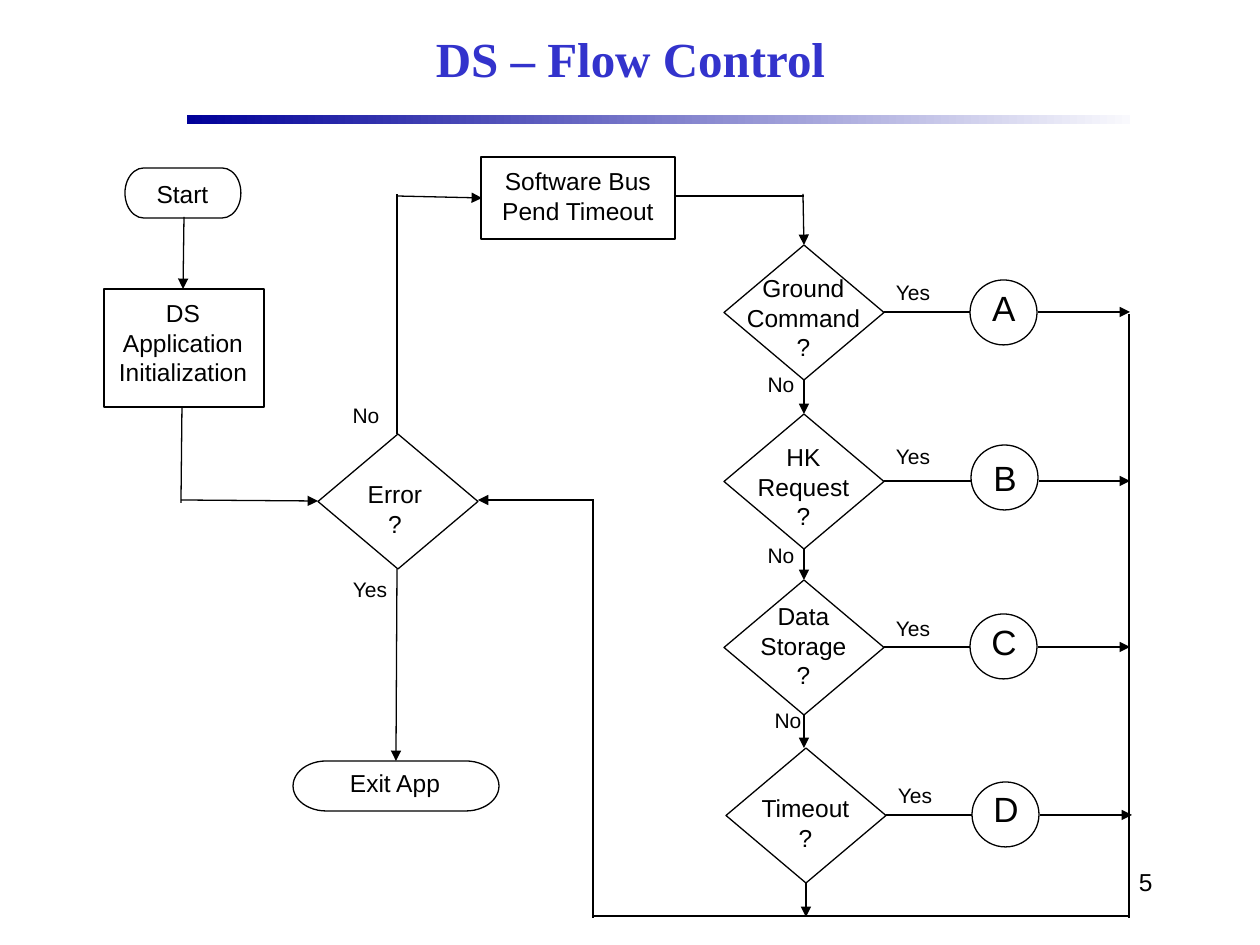
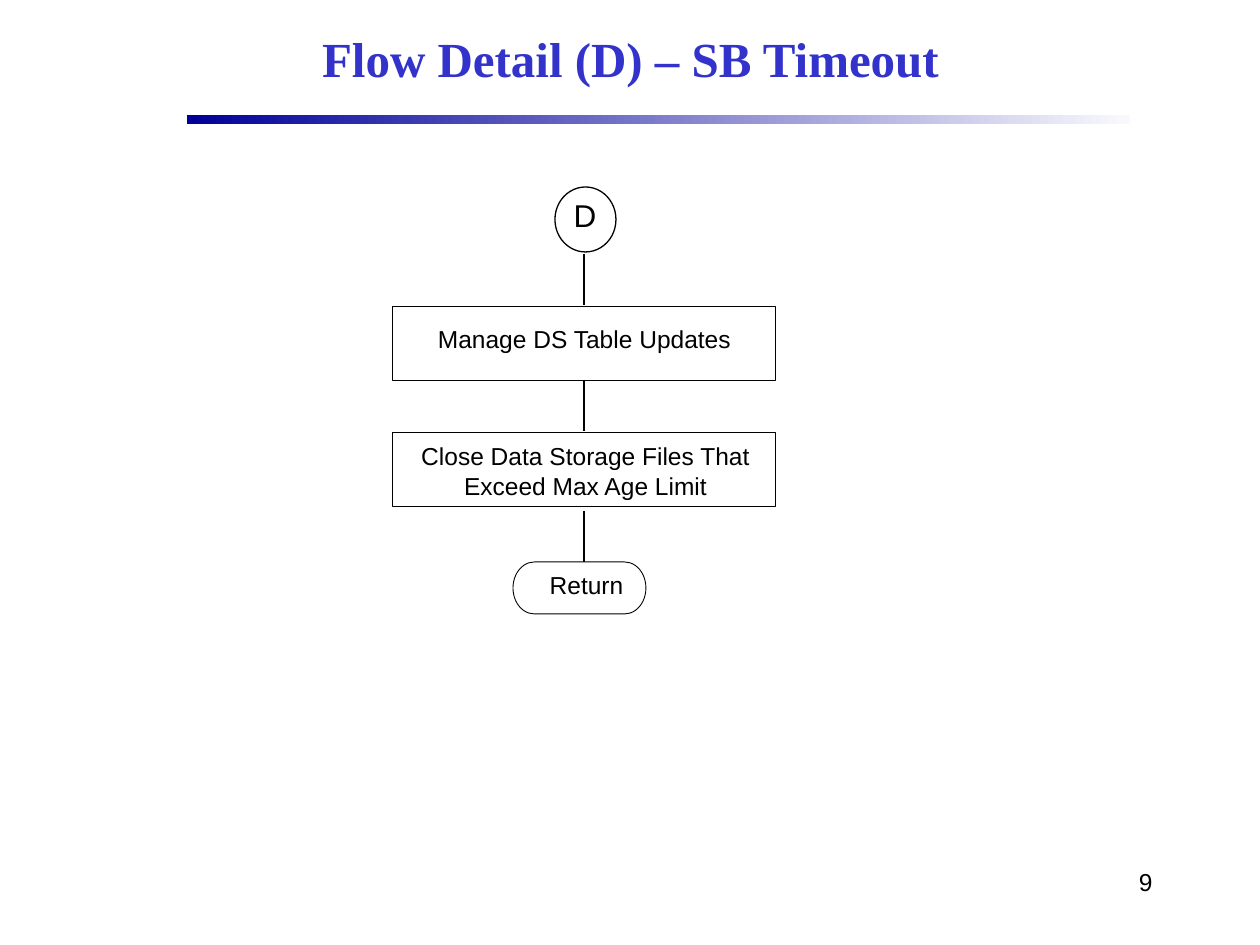
import dataclasses

import lxml.etree
import pptx
import pptx.dml.color
import pptx.enum.shapes
import pptx.enum.text
import pptx.oxml.ns
import pptx.util


@dataclasses.dataclass(frozen=True)
class Theme:
    ink: str = "000000"
    title: str = "3333CC"
    band_start: str = "000099"
    band_end: str = "F9F9FD"
    title_font: str = "Times New Roman"
    body_font: str = "Arial"
    title_size: int = 28
    body_size: int = 14
    branch_size: int = 12
    letter_size: int = 20
    line: float = 0.75
    thin_line: float = 0.5


theme = Theme()
PX = 914400 / 126  # EMU in one px
WRAP_FROM = 150  # boxes at least this wide wrap their text
ink = pptx.dml.color.RGBColor.from_string(theme.ink)
center = pptx.enum.text.PP_ALIGN.CENTER
shapes = pptx.enum.shapes.MSO_SHAPE


def add_text(slide, box, lines, size=theme.body_size, align=center):
    textbox = slide.shapes.add_textbox(*[round(v * PX) for v in box])
    frame = textbox.text_frame
    frame.word_wrap = box[2] >= WRAP_FROM
    frame.text = "\n".join(lines)
    for paragraph in frame.paragraphs:
        paragraph.alignment = align
        paragraph.font.name = theme.body_font
        paragraph.font.size = pptx.util.Pt(size)
        paragraph.font.color.rgb = ink


def add_line(slide, ends, arrow=False):
    connector = slide.shapes.add_connector(
        pptx.enum.shapes.MSO_CONNECTOR.STRAIGHT, *[round(v * PX) for v in ends])
    connector.line.width = pptx.util.Pt(theme.line)
    connector.line.color.rgb = ink
    if arrow:
        tail = lxml.etree.SubElement(
            connector.line._get_or_add_ln(), pptx.oxml.ns.qn("a:tailEnd"))
        tail.set("type", "triangle")
    properties = connector._element.spPr
    lxml.etree.SubElement(properties, pptx.oxml.ns.qn("a:effectLst"))


# Flow control: outlines are (preset, box, line width)
flow_outlines = [
    (shapes.FLOWCHART_TERMINATOR, (125, 168, 116, 50), theme.line),
    (shapes.FLOWCHART_PROCESS, (104, 289, 160, 118), theme.line),
    (shapes.FLOWCHART_DECISION, (318, 434, 160, 135), theme.line),
    (shapes.FLOWCHART_TERMINATOR, (293, 761, 206, 50), theme.line),
    (shapes.FLOWCHART_PROCESS, (481, 157, 194, 82), theme.line),
]
flow_texts = [
    ((144, 173, 77, 43), ["Start"], theme.body_size),
    ((105, 292, 156, 101), ["DS Application", "Initialization"], theme.body_size),
    ((355, 473, 80, 72), ["Error", "?"], theme.body_size),
    ((325, 762, 140, 43), ["Exit App"], theme.body_size),
    ((482, 160, 192, 72), ["Software Bus", "Pend Timeout"], theme.body_size),
    ((340, 396, 52, 38), ["No"], theme.branch_size),
    ((340, 570, 60, 38), ["Yes"], theme.branch_size),
]
flow_lines = [
    ((184, 217, 183, 289), True),
    ((182, 408, 181, 503), False),
    ((181, 500, 318, 501), True),
    ((397, 434, 397, 194), False),
    ((397, 196, 482, 198), True),
    ((397, 569, 396, 761), True),
    ((674, 196, 804, 196), False),
    ((803, 194, 804, 245), True),
    ((1129, 314, 1129, 918), False),
    ((1129, 916, 592, 916), False),
    ((593, 918, 593, 499), False),
    ((594, 500, 478, 500), True),
]

# Decisions: left, top, question, its top, letter, circle left and top,
# letter top, "Yes" top, corner of "No", end of the way down
decisions = [
    (724, 245, ["Ground", "Command", "?"], 267,
     "A", 970, 280, 280, 273, (755, 365), 414),
    (724, 414, ["HK", "Request", "?"], 436,
     "B", 971, 445, 450, 437, (755, 536), 580),
    (724, 580, ["Data", "Storage", "?"], 595,
     "C", 970, 614, 614, 609, (762, 701), 748),
    (726, 748, ["Timeout", "?"], 787,
     "D", 972, 782, 781, 776, None, 917),
]
for (left, top, question, question_top, letter, circle_left, circle_top,
     letter_top, yes_top, no_corner, way_end) in decisions:
    middle, center_x = top + 67, left + 80
    flow_outlines += [
        (shapes.FLOWCHART_DECISION, (left, top, 160, 135), theme.line),
        (shapes.OVAL, (circle_left, circle_top, 67, 65), theme.line),
    ]
    flow_texts += [
        ((left + 10, question_top, 139, 29 * len(question) + 14), question,
         theme.body_size),
        ((circle_left + 9, letter_top, 50, 55), [letter], theme.letter_size),
        ((left + 159, yes_top, 60, 38), ["Yes"], theme.branch_size),
    ]
    if no_corner:
        flow_texts.append(((*no_corner, 52, 38), ["No"], theme.branch_size))
    flow_lines += [
        ((left + 160, middle, circle_left, middle), False),
        ((circle_left + 68, middle, left + 406, middle), True),
        ((center_x, top + 135, center_x, way_end), True),
    ]

# Flow detail of the timeout branch
detail_outlines = [
    (shapes.OVAL, (555, 187, 61, 65), theme.line),
    (shapes.RECTANGLE, (392, 306, 383, 75), theme.thin_line),
    (shapes.RECTANGLE, (392, 432, 383, 75), theme.thin_line),
    (shapes.FLOWCHART_TERMINATOR, (513, 562, 133, 52), theme.thin_line),
]
detail_texts = [
    ((561, 190, 48, 50), ["D"], 18),
    ((393, 318, 383, 43), ["Manage DS Table Updates"], theme.body_size),
    ((394, 435, 383, 72),
     ["Close Data Storage Files That Exceed Max Age Limit"], theme.body_size),
    ((520, 564, 133, 43), ["Return"], theme.body_size),
]
detail_lines = [((584, top, 584, top + 51), False) for top in (254, 380, 511)]

pages = [
    ("DS – Flow Control", "5", flow_outlines, flow_texts, flow_lines),
    ("Flow Detail (D) – SB Timeout", "9",
     detail_outlines, detail_texts, detail_lines),
]

presentation = pptx.Presentation()
presentation.slide_width = round(1260 * PX)
presentation.slide_height = round(945 * PX)

for heading, number, outlines, texts, lines in pages:
    slide = presentation.slides.add_slide(presentation.slide_layouts[5])

    # Title
    title = slide.shapes.title
    title.left, title.top, title.width, title.height = [
        round(v * PX) for v in (179, 10, 903, 95)]
    title.text_frame.text = heading
    title.text_frame.auto_size = pptx.enum.text.MSO_AUTO_SIZE.NONE
    title.text_frame.vertical_anchor = pptx.enum.text.MSO_ANCHOR.MIDDLE
    paragraph = title.text_frame.paragraphs[0]
    paragraph.alignment = center
    paragraph.font.name = theme.title_font
    paragraph.font.size = pptx.util.Pt(theme.title_size)
    paragraph.font.bold = True
    paragraph.font.color.rgb = pptx.dml.color.RGBColor.from_string(theme.title)

    # Band under the title
    band = slide.shapes.add_shape(
        shapes.RECTANGLE, *[round(v * PX) for v in (187, 115, 943, 9)])
    band.shadow.inherit = False
    band.line.fill.background()
    band.fill.gradient()
    band.fill.gradient_angle = 0
    for stop, color, position in zip(
            band.fill.gradient_stops, (theme.band_start, theme.band_end), (0, 1)):
        stop.color.rgb = pptx.dml.color.RGBColor.from_string(color)
        stop.position = position

    # Slide number
    add_text(slide, (903, 861, 262, 63), [number],
             align=pptx.enum.text.PP_ALIGN.RIGHT)

    # Flow chart
    for preset, box, width in outlines:
        shape = slide.shapes.add_shape(preset, *[round(v * PX) for v in box])
        shape.shadow.inherit = False
        shape.fill.background()
        shape.line.color.rgb = ink
        shape.line.width = pptx.util.Pt(width)
    for ends, arrow in lines:
        add_line(slide, ends, arrow)
    for box, words, size in texts:
        add_text(slide, box, words, size)

presentation.save("out.pptx")
